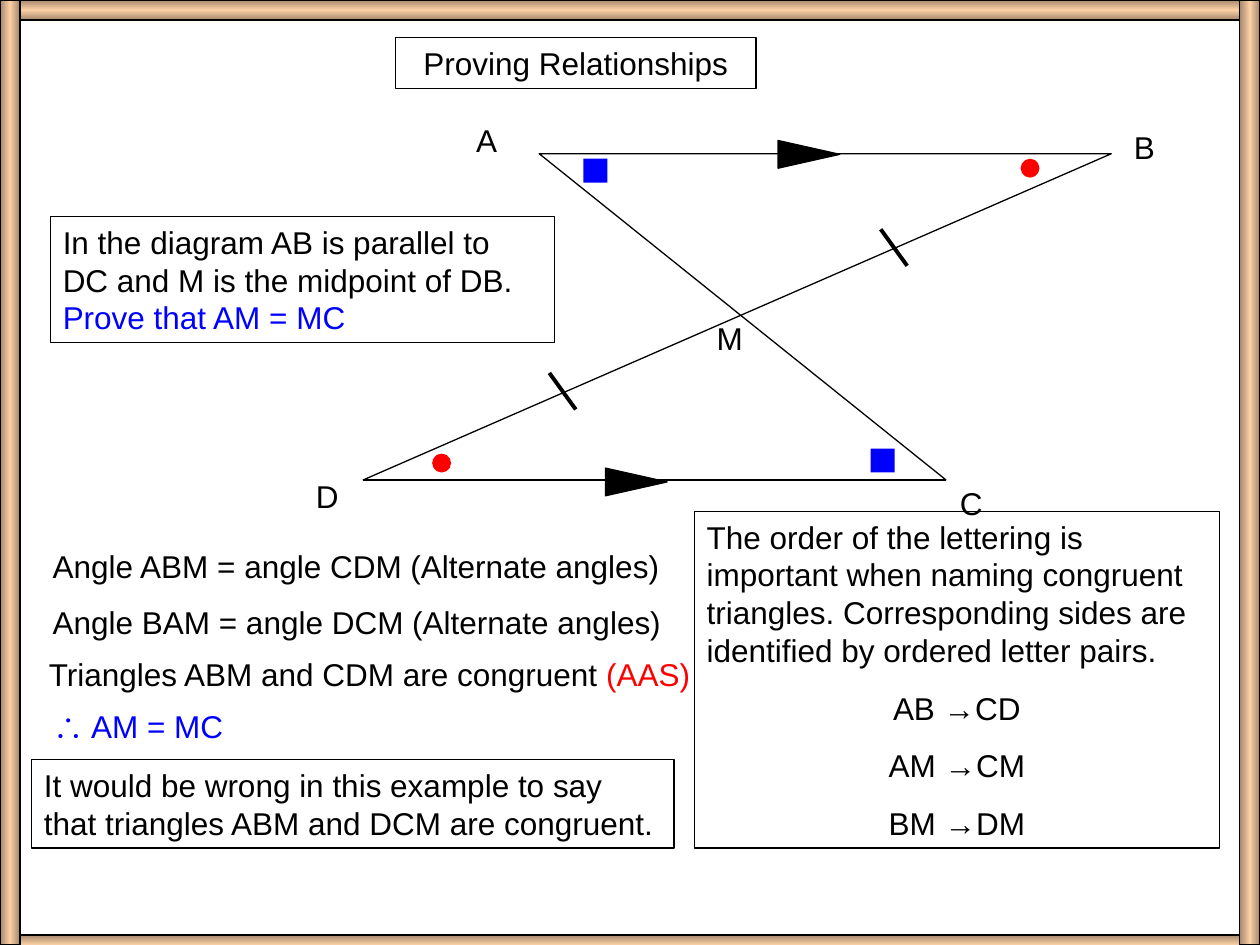
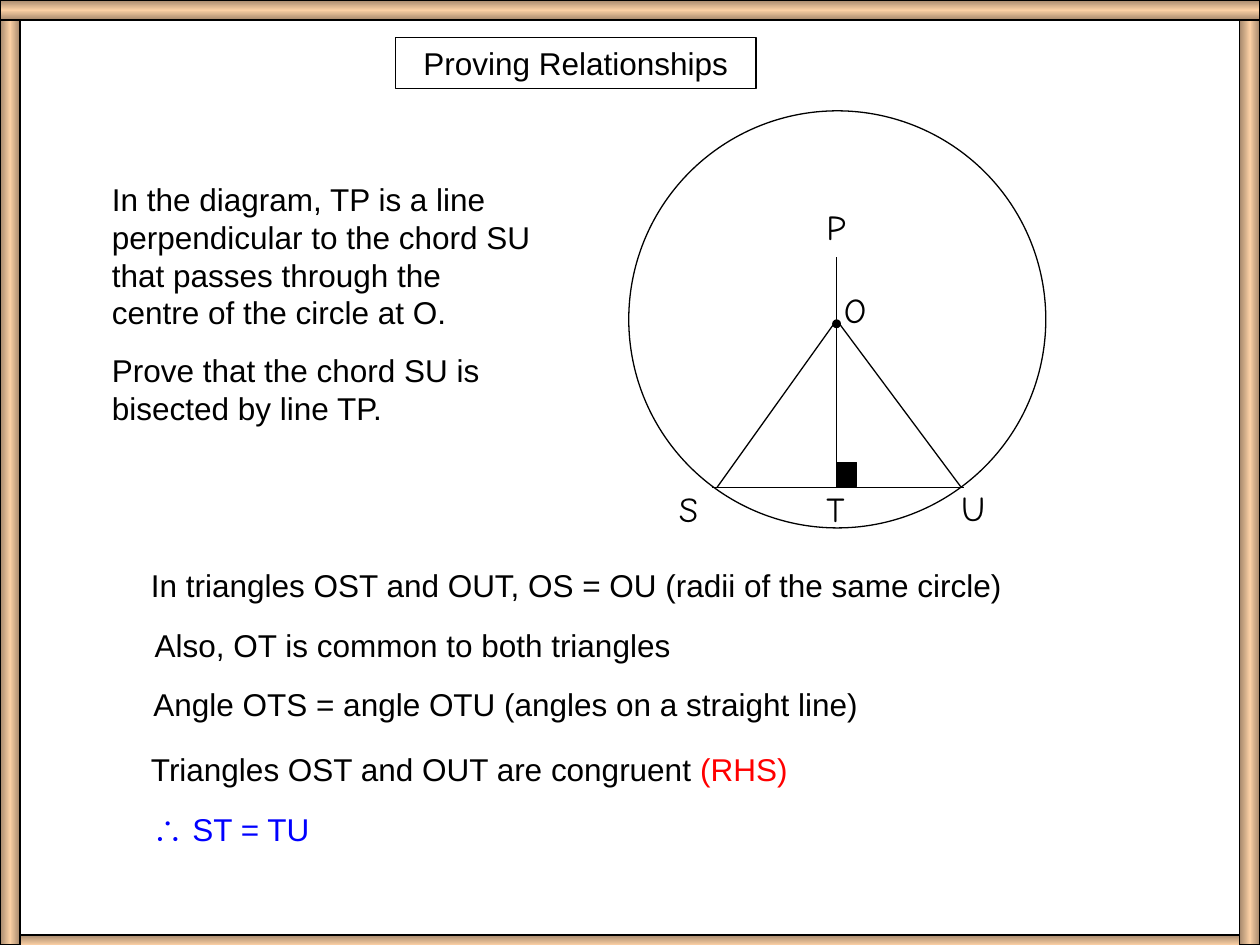
import copy

import pptx
import pptx.dml.color
import pptx.enum.shapes
import pptx.enum.text
import pptx.oxml.ns
import pptx.util

Inches = pptx.util.Inches
Pt = pptx.util.Pt
SHAPE = pptx.enum.shapes.MSO_SHAPE
ALIGN = pptx.enum.text.PP_ALIGN

BLACK, RED, BLUE = "000000", "FF0000", "0000FF"
WOOD_DARK, WOOD_LIGHT = "A5886C", "FACFA4"
SLIDE_WIDTH, SLIDE_HEIGHT = 10, 7.5
BAR = 0.16
FRAME_BARS = {
    "top": (0, 0, SLIDE_WIDTH, BAR),
    "bottom": (0, SLIDE_HEIGHT - BAR / 2, SLIDE_WIDTH, BAR),
    "left": (0, 0, BAR, SLIDE_HEIGHT),
    "right": (SLIDE_WIDTH - BAR, 0, BAR, SLIDE_HEIGHT),
}


def colour(value):
    """Return the colour for a hex string."""
    return pptx.dml.color.RGBColor.from_string(value)


def set_line(shape, width=0.75):
    """Give a shape or connector a black line."""
    shape.line.color.rgb = colour(BLACK)
    shape.line.width = Pt(width)


def write_text(shape, paragraphs, size=18, font_name="Arial", align=ALIGN.LEFT):
    """Fill a shape with paragraphs, each a list of (text, colour) parts."""
    frame = shape.text_frame
    frame.word_wrap = True
    frame.auto_size = pptx.enum.text.MSO_AUTO_SIZE.NONE
    frame.vertical_anchor = pptx.enum.text.MSO_ANCHOR.TOP
    for index, parts in enumerate(paragraphs):
        paragraph = frame.add_paragraph() if index else frame.paragraphs[0]
        if index:
            paragraph.space_before = Pt(11.25)
        paragraph.alignment = align
        paragraph.font.size = Pt(size)
        paragraph.font.name = font_name
        paragraph.font.color.rgb = colour(parts[0][1])
        for text, text_colour in parts:
            run = paragraph.add_run()
            run.text = text
            if text_colour != parts[0][1]:
                run.font.color.rgb = colour(text_colour)


def add_text(slide, box, paragraphs, outlined=False, **style):
    """Add a text box, with an outline if asked."""
    shape = slide.shapes.add_textbox(*map(Inches, box))
    write_text(shape, paragraphs, **style)
    if outlined:
        set_line(shape)
    return shape


def add_shape(slide, kind, box, fill=None, outlined=True):
    """Add a flat preset shape."""
    shape = slide.shapes.add_shape(kind, *map(Inches, box))
    shape.shadow.inherit = False
    if fill:
        shape.fill.solid()
        shape.fill.fore_color.rgb = colour(fill)
    else:
        shape.fill.background()
    if outlined:
        set_line(shape)
    else:
        shape.line.fill.background()
    return shape


def add_line(slide, start, end, width=0.75):
    """Add a straight black line between two points."""
    line = slide.shapes.add_connector(
        pptx.enum.shapes.MSO_CONNECTOR.STRAIGHT, *map(Inches, (*start, *end)))
    set_line(line, width)
    properties = line._element.spPr
    properties.append(properties.makeelement(pptx.oxml.ns.qn("a:effectLst"), {}))


def add_outline(slide, points):
    """Add an open, unfilled outline through the points."""
    start, *others = [tuple(map(Inches, point)) for point in points]
    builder = slide.shapes.build_freeform(*start)
    builder.add_line_segments(others, close=False)
    outline = builder.convert_to_shape()
    outline.shadow.inherit = False
    outline.fill.background()
    set_line(outline)


def add_labels(slide, left, top, labels, **style):
    """Letter the points of a diagram."""
    for letter, (x, y) in labels.items():
        add_text(slide, (left + x, top + y, 0.44, 0.44), [[(letter, BLACK)]], **style)


def add_frame(slide, order):
    """Draw the wooden border, back bar first."""
    for side in order:
        bar = add_shape(slide, SHAPE.RECTANGLE, FRAME_BARS[side])
        bar.fill.gradient()
        bar.fill.gradient_angle = 90 if side in ("top", "bottom") else 0
        stop_list = next(bar._element.iter(pptx.oxml.ns.qn("a:gsLst")))
        stop_list.append(copy.deepcopy(stop_list[-1]))
        stops = zip(bar.fill.gradient_stops, (0, 0.5, 1), (WOOD_DARK, WOOD_LIGHT, WOOD_DARK))
        for stop, position, value in stops:
            stop.position = position
            stop.color.rgb = colour(value)


def add_title_slide(presentation, title_text):
    """Add a slide with the boxed title."""
    slide = presentation.slides.add_slide(presentation.slide_layouts[5])
    title = slide.shapes.title
    title.left, title.top, title.width, title.height = map(Inches, (3.14, 0.3, 2.86, 0.4))
    write_text(title, [[(title_text, BLACK)]], align=ALIGN.CENTER)
    set_line(title)
    return slide


def add_proof(slide, steps):
    """Place the proof steps, each a (left, top, width, parts) row."""
    for left, top, width, parts in steps:
        add_text(slide, (left, top, width, 0.4), [parts])


def draw_crossed_triangles(slide, left, top):
    """Draw triangles ABM and CDM with their equal parts marked."""
    corners = {"A": (1.87, 0.31), "B": (6.41, 0.31), "C": (5.1, 2.9), "D": (0.47, 2.9)}
    a, b, c, d = [(left + x, top + y) for x, y in corners.values()]
    add_outline(slide, (c, a, b, d))
    add_line(slide, c, d)
    for x, y in ((3.9, 0.07), (2.53, 2.67)):
        arrow = add_shape(slide, SHAPE.ISOSCELES_TRIANGLE, (left + x, top + y, 0.22, 0.49), BLACK)
        arrow.rotation = 90
    for x, y in ((1.95, 2.05), (4.58, 0.91)):
        add_line(slide, (left + x, top + y), (left + x + 0.21, top + y + 0.29), 2.25)
    marks = (
        (SHAPE.OVAL, RED, 0.15, ((5.69, 0.35), (1.02, 2.69))),
        (SHAPE.RECTANGLE, BLUE, 0.19, ((2.22, 0.35), (4.5, 2.65))),
    )
    for kind, fill, size, places in marks:
        for x, y in places:
            add_shape(slide, kind, (left + x, top + y, size, size), fill, outlined=False)
    add_labels(slide, left, top, {
        "A": (1.27, 0), "B": (6.49, 0.06), "C": (5.11, 2.88), "D": (0, 2.83), "M": (3.18, 1.57)})


def draw_circle_chord(slide, left, top):
    """Draw the circle with chord SU and perpendicular TP."""
    add_shape(slide, SHAPE.OVAL, (left, top, 3.31, 3.31))
    add_shape(slide, SHAPE.OVAL, (left + 1.62, top + 1.66, 0.06, 0.06), BLACK)
    add_shape(slide, SHAPE.RECTANGLE, (left + 1.65, top + 2.79, 0.16, 0.19), BLACK)
    lines = (
        ((0.7, 2.99), (1.65, 1.66)),
        ((1.65, 1.66), (2.64, 2.99)),
        ((0.66, 2.99), (2.66, 2.99)),
        ((1.65, 1.16), (1.65, 2.99)),
    )
    for (x1, y1), (x2, y2) in lines:
        add_line(slide, (left + x1, top + y1), (left + x2, top + y2))
    add_labels(slide, left, top, {
        "O": (1.61, 1.36), "S": (0.3, 2.94), "T": (1.47, 2.94), "U": (2.54, 2.93),
        "P": (1.47, 0.7)}, size=20, font_name="Comic Neue")


def build_midpoint_slide(presentation):
    """Build the proof that AM equals MC."""
    slide = add_title_slide(presentation, "Proving Relationships")
    draw_crossed_triangles(slide, 2.41, 0.91)
    add_text(slide, (0.4, 1.72, 4, 1), [[
        ("In the diagram AB is parallel to DC and M is the midpoint of DB. ", BLACK),
        ("Prove that AM = MC", BLUE)]], outlined=True)
    add_proof(slide, (
        (0.32, 4.29, 5.04, [("Angle ABM = angle CDM (Alternate angles)", BLACK)]),
        (0.32, 4.74, 5.04, [("Angle BAM = angle DCM (Alternate angles)", BLACK)]),
        (0.29, 5.15, 5.56, [("Triangles ABM and CDM are congruent ", BLACK), ("(AAS)", RED)]),
        (0.32, 5.56, 1.74, [("∴ AM = MC", BLUE)]),
    ))
    note = (
        "The order of the lettering is important when naming congruent triangles. "
        "Corresponding sides are identified by ordered letter pairs.")
    pairs = ("AB →CD", "AM →CM", "BM →DM")
    lettering = add_text(slide, (5.51, 4.06, 4.17, 2.67),
                         [[(text, BLACK)] for text in (note, *pairs)], outlined=True)
    for paragraph in lettering.text_frame.paragraphs[1:]:
        paragraph.alignment = ALIGN.CENTER
    add_text(slide, (0.25, 6.03, 5.1, 0.7), [[(
        "It would be wrong in this example to say that triangles ABM and DCM are congruent.",
        BLACK)]], outlined=True)
    add_frame(slide, ("top", "bottom", "left", "right"))


def build_chord_slide(presentation):
    """Build the proof that the chord is bisected."""
    slide = add_title_slide(presentation, "Proving Relationships")
    add_frame(slide, ("bottom", "left", "right", "top"))
    draw_circle_chord(slide, 4.99, 0.88)
    add_text(slide, (0.79, 1.38, 3.54, 2.06), [
        [("In the diagram, TP is a line perpendicular to the chord SU that passes through "
          "the centre of the circle at O.", BLACK)],
        [("Prove that the chord SU is bisected by line TP.", BLACK)]])
    add_proof(slide, (
        (1.1, 4.44, 7.4,
         [("In triangles OST and OUT, OS = OU (radii of the same circle)", BLACK)]),
        (1.13, 4.92, 6.83, [("Also, OT is common to both triangles", BLACK)]),
        (1.12, 5.39, 6.83, [("Angle OTS = angle OTU (angles on a straight line)", BLACK)]),
        (1.1, 5.9, 6.83, [("Triangles OST and OUT are congruent ", BLACK), ("(RHS)", RED)]),
        (1.11, 6.38, 1.9, [("∴ ST = TU", BLUE)]),
    ))


def main():
    """Build and save the presentation."""
    presentation = pptx.Presentation()
    presentation.slide_width = Inches(SLIDE_WIDTH)
    presentation.slide_height = Inches(SLIDE_HEIGHT)
    build_midpoint_slide(presentation)
    build_chord_slide(presentation)
    presentation.save("out.pptx")


if __name__ == "__main__":
    main()
